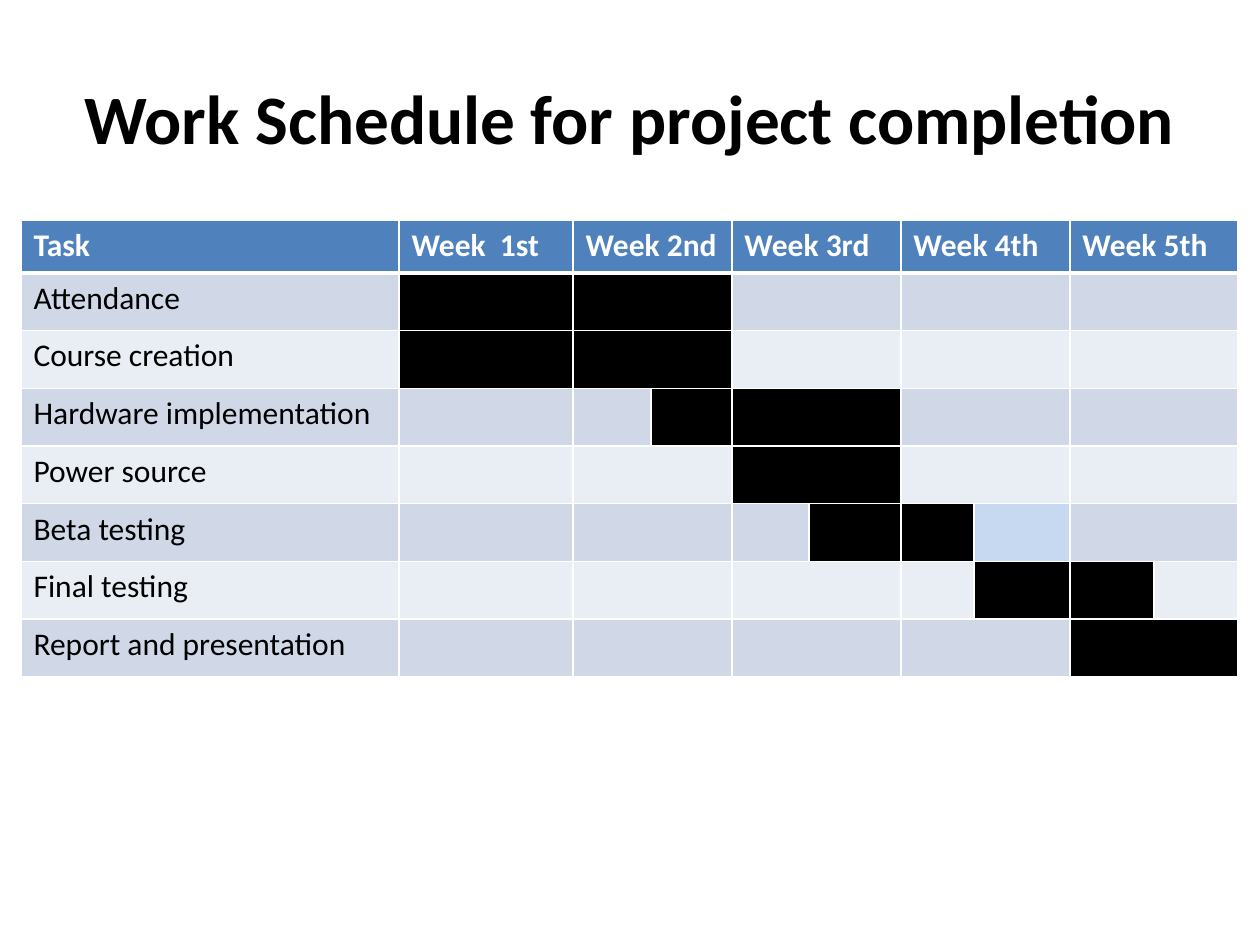
import pptx
import pptx.dml.color
import pptx.enum.text
import pptx.oxml
import pptx.oxml.ns
import pptx.util

THEME = {
    "font": "Calibri", "title_size": 39.6, "table_size": 18,
    "text": "000000", "header_text": "FFFFFF", "header": "4F81BD",
    "bands": ["D0D8E8", "E9EDF4"], "busy": "000000", "spare": "C6D9F1",
    "border": "FFFFFF",
}
SCALE = 914400 / 126


def px(length):
    return pptx.util.Emu(round(length * SCALE))


def style_text(para, size, color, bold):
    for span in para.runs:
        span.font.name = THEME["font"]
        span.font.size = pptx.util.Pt(size)
        span.font.bold = bold
        span.font.color.rgb = pptx.dml.color.RGBColor.from_string(color)


deck = pptx.Presentation()
deck.slide_width, deck.slide_height = px(1260), px(945)
page = deck.slides.add_slide(deck.slide_layouts[6])

# Title
box = page.shapes.add_textbox(px(63), px(38), px(1134), px(157))
box.text_frame.word_wrap = True
box.text_frame.vertical_anchor = pptx.enum.text.MSO_ANCHOR.MIDDLE
para = box.text_frame.paragraphs[0]
para.text = "Work Schedule for project completion"
para.alignment = pptx.enum.text.PP_ALIGN.CENTER
style_text(para, THEME["title_size"], THEME["text"], True)

# Schedule: one code per week, two letters where the week is split
# (# busy, . idle, o spare)
weeks = ["Week  1st", "Week 2nd", "Week 3rd", "Week 4th", "Week 5th"]
tasks = [
    ("Attendance", "# # . . ."),
    ("Course creation", "# # . . ."),
    ("Hardware implementation", ". .# # . ."),
    ("Power source", ". . # . ."),
    ("Beta testing", ". . .# #o ."),
    ("Final testing", ". . . .# #."),
    ("Report and presentation", ". . . . #"),
]
week_columns = [(1, 1), (2, 3), (4, 5), (6, 7), (8, 9)]

# Table grid
column_widths = [378, 174, 78, 81, 77, 92, 73, 96, 84, 84]
header_height, body_height = 53, 404
table = page.shapes.add_table(
    len(tasks) + 1, len(column_widths), px(21), px(220),
    px(sum(column_widths)), px(header_height + body_height)).table
for column, width in zip(table.columns, column_widths):
    column.width = px(width)
for index, row in enumerate(table.rows):
    row.height = px(body_height / len(tasks) if index else header_height)

# Header and task names
for first, last in week_columns[1:]:
    table.cell(0, first).merge(table.cell(0, last))
table.cell(0, 0).text_frame.text = "Task"
for (first, last), week in zip(week_columns, weeks):
    table.cell(0, first).text_frame.text = week
fills = [[THEME["header"]] * len(column_widths)]

# Week bars
for row, (task, plan) in enumerate(tasks, start=1):
    table.cell(row, 0).text_frame.text = task
    band = THEME["bands"][(row - 1) % 2]
    colors = {"#": THEME["busy"], ".": band, "o": THEME["spare"]}
    row_fills = [band]
    for (first, last), code in zip(week_columns, plan.split()):
        if len(code) == 1 and last > first:
            table.cell(row, first).merge(table.cell(row, last))
            code *= 2
        row_fills += [colors[letter] for letter in code]
    fills.append(row_fills)

# Cell borders, fills and type
for row, row_fills in enumerate(fills):
    for column, color in enumerate(row_fills):
        cell = table.cell(row, column)
        properties = cell._tc.get_or_add_tcPr()
        for side in "LRTB":
            heavy = (row == 0 and side == "B") or (row == 1 and side == "T")
            width = pptx.util.Pt(3 if heavy else 1)
            properties.append(pptx.oxml.parse_xml(
                f'<a:ln{side} {pptx.oxml.ns.nsdecls("a")} w="{width}"><a:solidFill>'
                f'<a:srgbClr val="{THEME["border"]}"/></a:solidFill></a:ln{side}>'))
        cell.fill.solid()
        cell.fill.fore_color.rgb = pptx.dml.color.RGBColor.from_string(color)
        text_color = THEME["text"] if row else THEME["header_text"]
        style_text(cell.text_frame.paragraphs[0], THEME["table_size"], text_color, row == 0)

deck.save("out.pptx")
